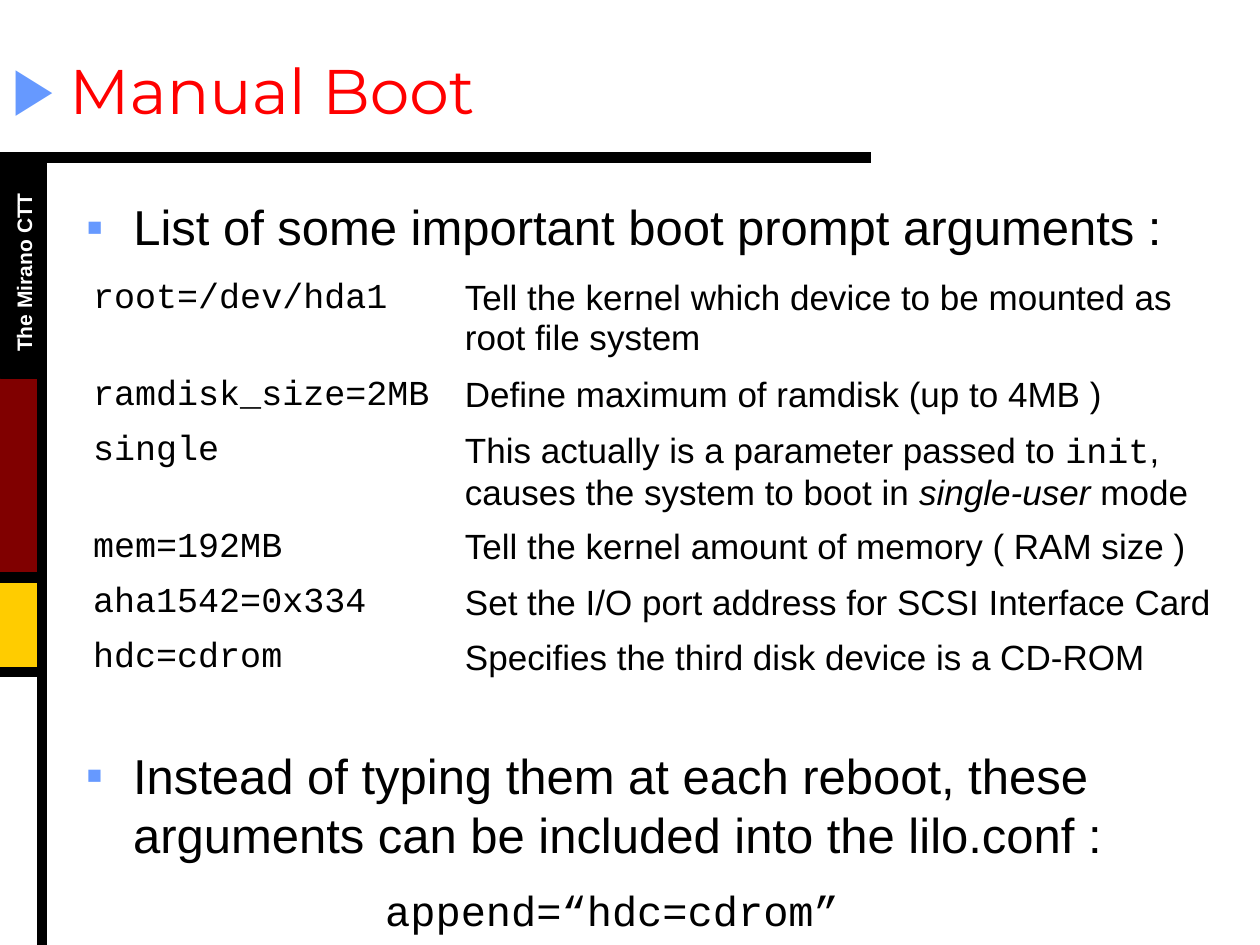
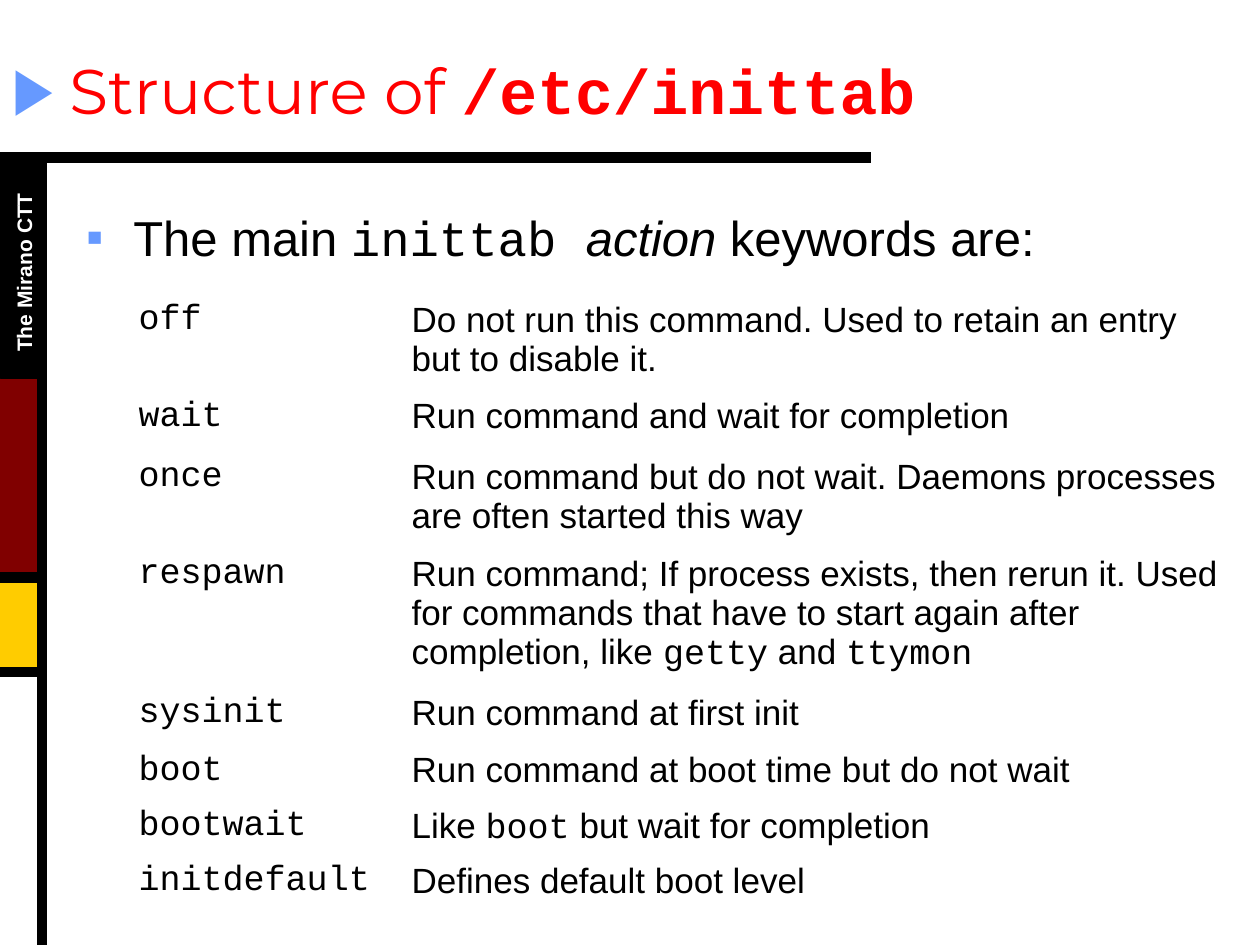
from dataclasses import dataclass
from lxml.etree import SubElement
from pptx import Presentation
from pptx.dml.color import RGBColor as Rgb
from pptx.enum.shapes import MSO_CONNECTOR as Connector, MSO_SHAPE as Shape
from pptx.enum.text import MSO_ANCHOR as Anchor, MSO_AUTO_SIZE as AutoSize, PP_ALIGN as Align
from pptx.oxml.ns import qn
from pptx.util import Pt


@dataclass(frozen=True)
class Theme:
    ink: Rgb = Rgb.from_string("000000")
    paper: Rgb = Rgb.from_string("FFFFFF")
    title: Rgb = Rgb.from_string("FF0000")
    bullet: Rgb = Rgb.from_string("6699FF")
    maroon: Rgb = Rgb.from_string("800000")
    gold: Rgb = Rgb.from_string("FFCC00")
    heading_font: str = "Montserrat"
    text_font: str = "Arial"
    code_font: str = "Courier New"
    title_size: int = 36
    lead_size: int = 28
    example_size: int = 24
    table_size: int = 20
    label_size: int = 12
    rule_width: int = 6
    hairline: float = 0.25


@dataclass(frozen=True)
class Code:
    text: str
    bold: bool = False


@dataclass(frozen=True)
class Emphasis:
    text: str


class Deck:
    def __init__(self, theme):
        self.theme = theme
        self.presentation = Presentation()
        self.presentation.slide_width = Pt(720)
        self.presentation.slide_height = Pt(540)
        self.slide = None

    def new_slide(self, *title):
        layout = self.presentation.slide_layouts[1]
        self.slide = self.presentation.slides.add_slide(layout)
        self.frame()
        self.title(*title)

    def frame(self):
        theme = self.theme
        self.band(216, 114, theme.maroon)
        self.band(330, 54, theme.gold)
        self.rule(0, 90, 498, 90)
        self.rule(24, 90, 24, 540)
        self.band(90, 126, theme.ink)
        self.side_label("The Mirano CTT")
        for divider in (330, 384):
            self.rule(0, divider, 24, divider)

    def band(self, top, height, color):
        band = self.slide.shapes.add_shape(Shape.RECTANGLE, 0, Pt(top), Pt(24), Pt(height))
        band.shadow.inherit = False
        band.fill.solid()
        band.fill.fore_color.rgb = color
        band.line.color.rgb = color
        band.line.width = Pt(self.theme.hairline)

    def rule(self, x1, y1, x2, y2):
        rule = self.slide.shapes.add_connector(
            Connector.STRAIGHT, Pt(x1), Pt(y1), Pt(x2), Pt(y2))
        rule.line.color.rgb = self.theme.ink
        rule.line.width = Pt(self.theme.rule_width)
        SubElement(rule._element.spPr, qn("a:effectLst"))

    def side_label(self, text):
        theme = self.theme
        label = self.text_box(-39.6, 144, 106.56, 21.6)
        label.rotation = 270
        line = label.text_frame.paragraphs[0]
        self.fill_text(line, [text], theme.text_font, theme.label_size, theme.paper)
        line.font.bold = True

    def text_box(self, left, top, width, height):
        box = self.slide.shapes.add_textbox(Pt(left), Pt(top), Pt(width), Pt(height))
        box.text_frame.word_wrap = True
        return box

    def fill_text(self, paragraph, parts, font, size, color):
        paragraph.font.name = font
        paragraph.font.size = Pt(size)
        paragraph.font.color.rgb = color
        for part in parts:
            run = paragraph.add_run()
            if isinstance(part, str):
                run.text = part
                continue
            run.text = part.text
            if isinstance(part, Code):
                run.font.name = self.theme.code_font
                if part.bold:
                    run.font.bold = True
            else:
                run.font.italic = True

    def indent(self, paragraph, left, first):
        properties = paragraph._p.get_or_add_pPr()
        properties.set("marL", str(Pt(left)))
        properties.set("indent", str(Pt(first)))
        return properties

    def bullet(self, paragraph, mark, hang):
        properties = self.indent(paragraph, hang, -hang)
        tint = SubElement(properties, qn("a:buClr"))
        SubElement(tint, qn("a:srgbClr"), val=str(self.theme.bullet))
        SubElement(properties, qn("a:buFont"), typeface=self.theme.text_font)
        SubElement(properties, qn("a:buChar"), char=mark)
        properties.append(properties.find(qn("a:defRPr")))

    def place(self, placeholder, left, top, width, height):
        placeholder.left, placeholder.top = Pt(left), Pt(top)
        placeholder.width, placeholder.height = Pt(width), Pt(height)
        text = placeholder.text_frame
        text.word_wrap = True
        text.auto_size = AutoSize.NONE
        text.vertical_anchor = Anchor.MIDDLE
        return text.paragraphs[0]

    def title(self, *parts):
        theme = self.theme
        heading = self.place(self.slide.shapes.title, 0, 24, 720, 54)
        heading.alignment = Align.LEFT
        self.fill_text(heading, parts, theme.heading_font, theme.title_size, theme.title)
        self.bullet(heading, "▶", 32.5)

    def point(self, paragraph, parts, spacing):
        theme = self.theme
        paragraph.line_spacing = spacing
        paragraph.space_before = Pt(14)
        self.fill_text(paragraph, parts, theme.text_font, theme.lead_size, theme.ink)
        self.bullet(paragraph, "▪", 27)

    def lead(self, parts, width, height):
        body = self.slide.placeholders[1]
        self.point(self.place(body, 42, 102, width, height), parts, 1.2)

    def closing(self, statement, example):
        theme = self.theme
        box = self.text_box(42, 420, 678, 120)
        box.text_frame.vertical_anchor = Anchor.MIDDLE
        self.point(box.text_frame.paragraphs[0], [statement], 1.0)
        sample = box.text_frame.add_paragraph()
        sample.space_before = Pt(12)
        self.indent(sample, 171, 0)
        self.fill_text(sample, [example], theme.code_font, theme.example_size, theme.ink)

    def definitions(self, left, top, widths, entries):
        theme = self.theme
        height = sum(entry[0] for entry in entries)
        table = self.slide.shapes.add_table(
            len(entries), 2, Pt(left), Pt(top), Pt(sum(widths)), Pt(height)).table
        table.first_row = table.horz_banding = False
        for column, width in zip(table.columns, widths):
            column.width = Pt(width)
        for row, (row_height, term, *meaning) in zip(table.rows, entries):
            row.height = Pt(row_height)
            columns = ((theme.code_font, [term]), (theme.text_font, meaning))
            for cell, (font, parts) in zip(row.cells, columns):
                cell.fill.background()
                paragraph = cell.text_frame.paragraphs[0]
                paragraph.space_before = Pt(10)
                self.fill_text(paragraph, parts, font, theme.table_size, theme.ink)


def manual_boot(deck):
    deck.new_slide("Manual Boot")
    deck.lead(["List of some important boot prompt arguments :"], 678, 48)
    deck.definitions(46, 156, (212.5, 442), [
        (55.4, "root=/dev/hda1",
         "Tell the kernel which device to be mounted as root file system"),
        (31.5, "ramdisk_size=2MB", "Define maximum of ramdisk (up to 4MB )"),
        (55.4, "single", "This actually is a parameter passed to ", Code("init"),
         ", causes the system to boot in ", Emphasis("single-user"), " mode"),
        (31.5, "mem=192MB", "Tell the kernel amount of memory ( RAM size )"),
        (31.5, "aha1542=0x334", "Set the I/O port address for SCSI Interface Card"),
        (31.5, "hdc=cdrom", "Specifies the third disk device is a CD-ROM"),
    ])
    deck.closing("Instead of typing them at each reboot, these arguments "
                 "can be included into the lilo.conf :", "append=“hdc=cdrom”")


def inittab_structure(deck):
    deck.new_slide("Structure of ", Code("/etc/inittab", bold=True))
    deck.lead(["The main ", Code("inittab "), Emphasis("action"), " keywords are:"], 654, 60)
    deck.definitions(72, 168, (156, 480), [
        (55.4, "off",
         "Do not run this command. Used to retain an entry but to disable it."),
        (34.6, "wait", "Run command and wait for completion"),
        (55.4, "once", "Run command but do not wait. Daemons processes "
         "are often started this way"),
        (79.2, "respawn", "Run command; If process exists, then rerun it. Used for "
         "commands that have to start again after completion, like ",
         Code("getty"), " and ", Code("ttymon")),
        (33.1, "sysinit", "Run command at first init"),
        (31.5, "boot", "Run command at boot time but do not wait"),
        (31.5, "bootwait", "Like ", Code("boot"), " but wait for completion"),
        (33.1, "initdefault", "Defines default boot level"),
    ])


def main():
    deck = Deck(Theme())
    manual_boot(deck)
    inittab_structure(deck)
    deck.presentation.save("out.pptx")


if __name__ == "__main__":
    main()
